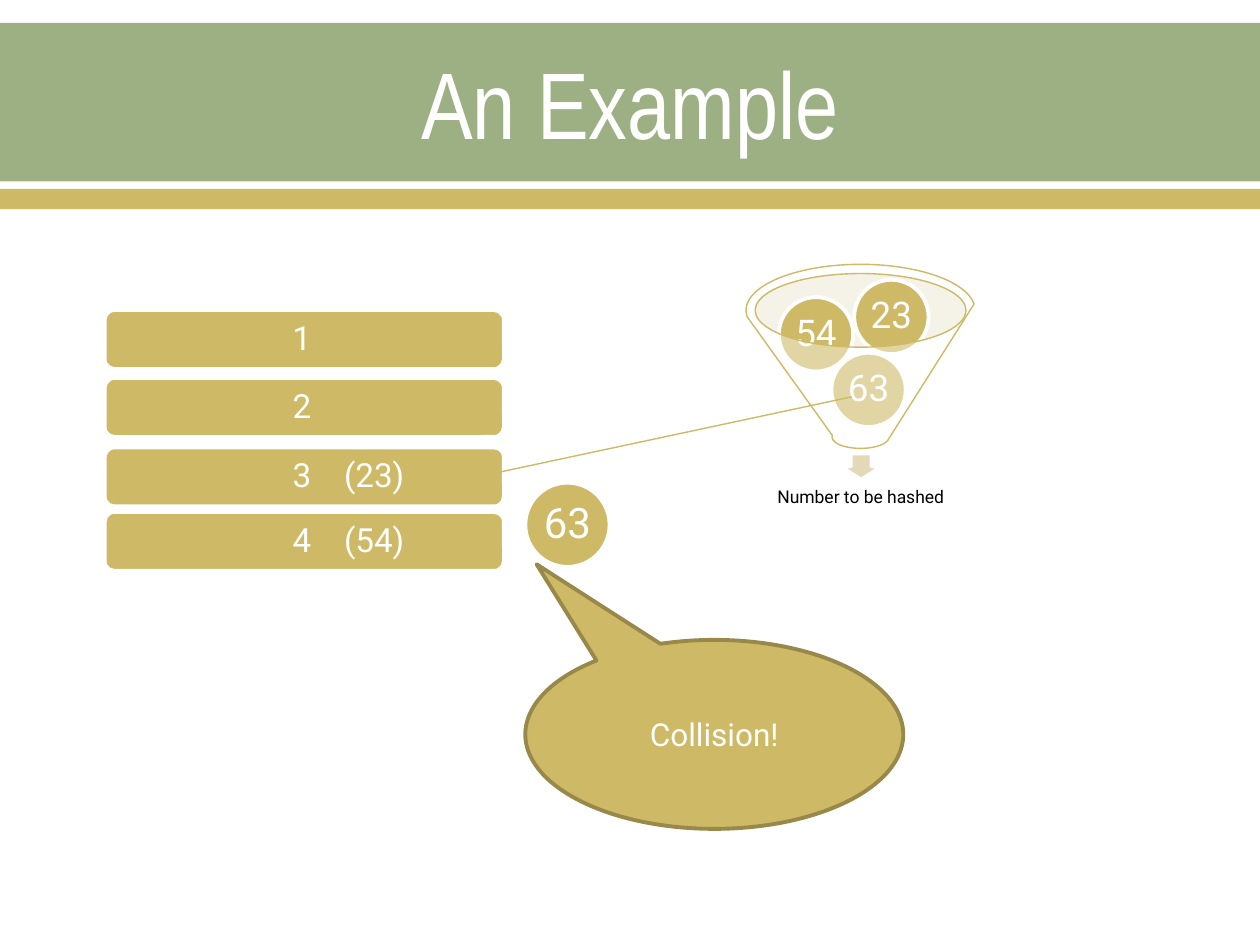
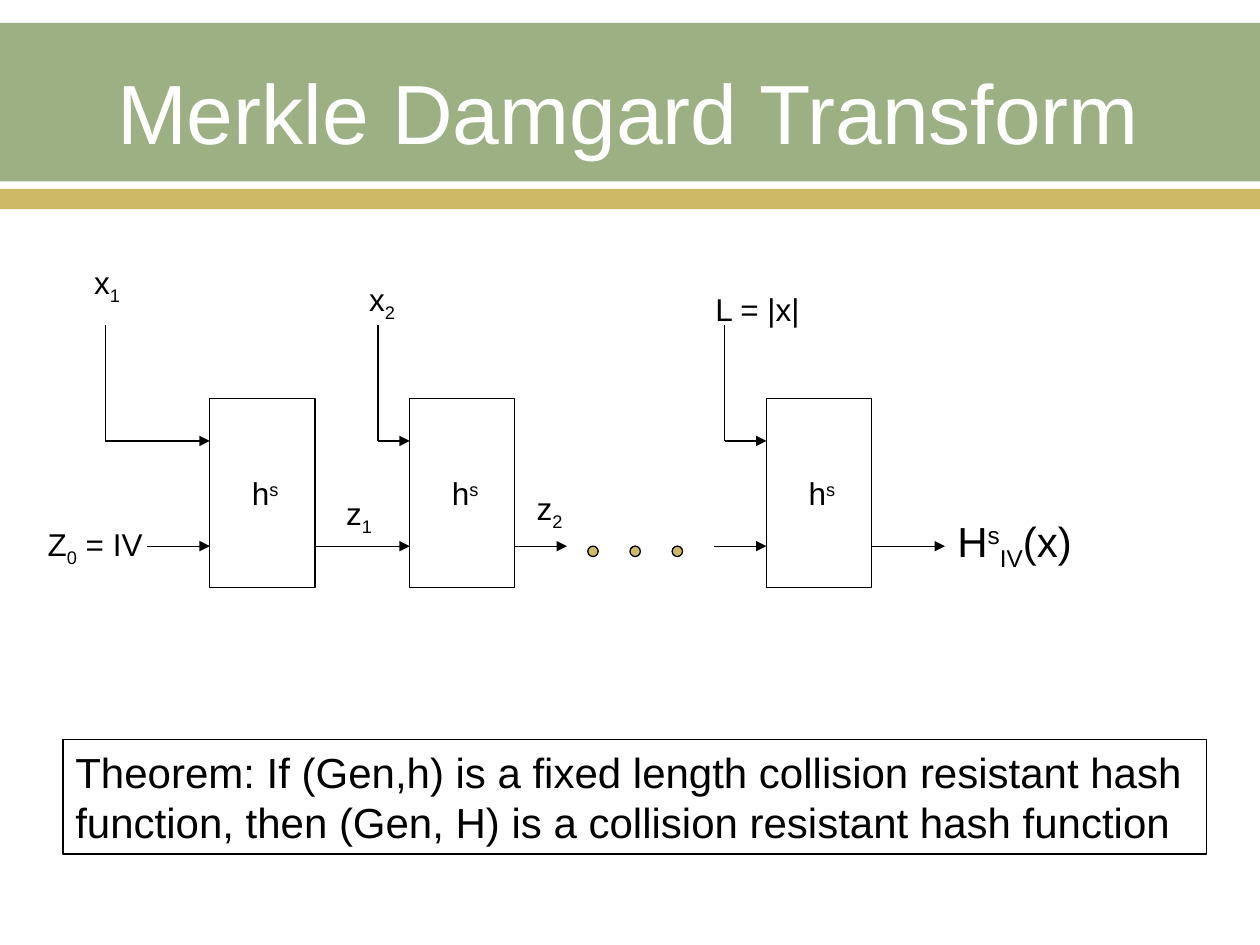
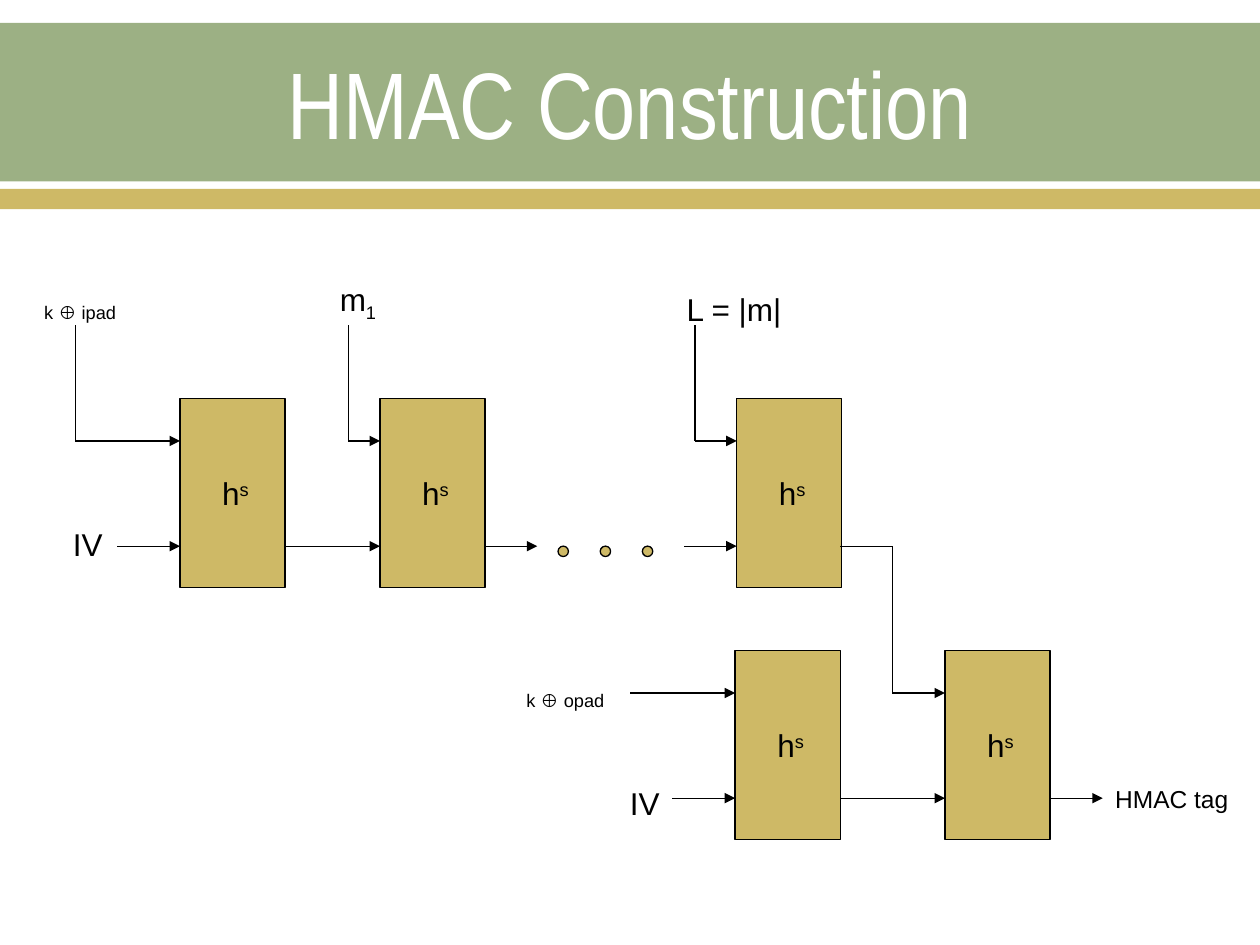
from dataclasses import dataclass, replace
from typing import Any, Optional

from lxml import etree
from pptx import Presentation
from pptx.dml.color import RGBColor
from pptx.enum.shapes import MSO_CONNECTOR, MSO_SHAPE
from pptx.enum.text import MSO_ANCHOR, MSO_AUTO_SIZE, PP_ALIGN
from pptx.oxml.ns import qn
from pptx.util import Cm, Pt

RECT, ROUND, OVAL = MSO_SHAPE.RECTANGLE, MSO_SHAPE.ROUNDED_RECTANGLE, MSO_SHAPE.OVAL
DOWN, FUNNEL, CALLOUT = MSO_SHAPE.DOWN_ARROW, MSO_SHAPE.FUNNEL, MSO_SHAPE.OVAL_CALLOUT
STRAIGHT = MSO_CONNECTOR.STRAIGHT
LEFT, CENTER = PP_ALIGN.LEFT, PP_ALIGN.CENTER
TOP, MIDDLE = MSO_ANCHOR.TOP, MSO_ANCHOR.MIDDLE
GROW = MSO_AUTO_SIZE.SHAPE_TO_FIT_TEXT

COLORS = {
    "green": "9CB084", "gold": "CEB966", "white": "FFFFFF", "black": "000000",
    "cream": "E8E0C6", "sand": "E3D9B8", "brown": "98894B",
}
SUB, SUPER = -25, 30
Runs = list[tuple[str, int]]
HASH: Runs = [("h", 0), ("s", SUPER)]

# Hash box: size, and the heights of its two inputs below its top edge
BOX_W, BOX_H, HIGH, LOW = 2.12, 3.81, 0.85, 2.97
CHAIN_TOP, LAST_TOP, DROP_TOP = 8.04, 13.12, 6.56


@dataclass(frozen=True)
class Box:
    """Place and size in centimetres."""
    left: float
    top: float
    width: float
    height: float


@dataclass(frozen=True)
class Style:
    """Look of a text."""
    size: float = 18
    font: str = "Arial"
    color: str = "black"
    align: Any = LEFT
    anchor: Any = TOP
    wrap: bool = True
    pad: tuple[float, float] = (0.25, 0.13)
    indent: float = 0
    space: Optional[float] = None
    tab: Optional[float] = None


@dataclass(frozen=True)
class Label:
    """A loose line of text in a diagram."""
    box: Box
    runs: Runs
    size: float = 18


@dataclass(frozen=True)
class Paint:
    """Fill and outline of a shape."""
    fill: Optional[str] = None
    line: Optional[str] = None
    width: float = 0.75
    alpha: Optional[int] = None


PLAIN = Style()
TITLE = Style(54, "Arial Narrow", "white", CENTER, MIDDLE)
HASHED = Style(anchor=MIDDLE, indent=0.6)
BALL = Style(21, "Roboto", "white", CENTER, MIDDLE, pad=(0.08, 0.08), space=0.9)
ROW = Style(19, "Roboto", "white", LEFT, MIDDLE, pad=(0.2, 0.2),
            indent=3.53, space=0.9, tab=1.04)
EDGED = Paint("gold", "white", 2.22)
INKED = Paint("gold", "black")
HOLLOW = Paint(None, "black")


def rgb(name: str) -> RGBColor:
    """Look up a colour by name."""
    return RGBColor.from_string(COLORS[name])


def assign(target: Any, values: dict[str, Any]) -> None:
    """Set each named value on the target."""
    for name, value in values.items():
        setattr(target, name, value)


def write(shape: Any, runs: Runs, style: Style) -> None:
    """Put one styled paragraph into a shape."""
    frame = shape.text_frame
    side, edge = style.pad
    assign(frame, {
        "word_wrap": style.wrap, "vertical_anchor": style.anchor,
        "margin_left": Cm(side + style.indent), "margin_right": Cm(side),
        "margin_top": Cm(edge), "margin_bottom": Cm(edge),
    })
    para = frame.paragraphs[0]
    assign(para, {"alignment": style.align, "line_spacing": style.space})
    if style.tab:
        stops = etree.SubElement(para._p.get_or_add_pPr(), qn("a:tabLst"))
        etree.SubElement(stops, qn("a:tab"), pos=str(Cm(style.tab)), algn="l")
    for text, base in runs:
        run = para.add_run()
        run.text = text
        assign(run.font, {"size": Pt(style.size), "name": style.font})
        run.font.color.rgb = rgb(style.color)
        if base:
            run._r.get_or_add_rPr().set("baseline", str(base * 1000))


def place(box: Box) -> list[int]:
    """Turn a box into lengths."""
    return [Cm(v) for v in (box.left, box.top, box.width, box.height)]


def draw(slide: Any, kind: Any, box: Box, paint: Paint,
         runs: Optional[Runs] = None, style: Style = PLAIN) -> Any:
    """Add a preset shape, with text if any is given."""
    shape = slide.shapes.add_shape(kind, *place(box))
    shape.shadow.inherit = False
    if paint.fill:
        shape.fill.solid()
        shape.fill.fore_color.rgb = rgb(paint.fill)
    else:
        shape.fill.background()
    if paint.alpha:
        tone = shape._element.spPr.find(qn("a:solidFill"))[0]
        etree.SubElement(tone, qn("a:alpha"), val=str(paint.alpha * 1000))
    if paint.line:
        shape.line.color.rgb = rgb(paint.line)
        shape.line.width = Pt(paint.width)
    else:
        shape.line.fill.background()
    if runs:
        write(shape, runs, style)
    return shape


def note(slide: Any, box: Box, runs: Runs, style: Style) -> None:
    """Add a text box."""
    area = slide.shapes.add_textbox(*place(box))
    write(area, runs, style)
    if not style.wrap:
        area.text_frame.auto_size = GROW


def name(slide: Any, label: Label) -> None:
    """Add a diagram label."""
    note(slide, label.box, label.runs, Style(label.size, wrap=False))


def link(slide: Any, start: tuple[float, float], end: tuple[float, float],
         arrow: bool = True, color: str = "black", width: float = 0.75) -> None:
    """Add a straight line, with an arrowhead at its end if asked."""
    line = slide.shapes.add_connector(STRAIGHT, *(Cm(v) for v in (*start, *end)))
    line.line.color.rgb = rgb(color)
    line.line.width = Pt(width)
    props = line._element.spPr
    if arrow:
        etree.SubElement(props.find(qn("a:ln")), qn("a:tailEnd"), type="triangle")
    etree.SubElement(props, qn("a:effectLst"))


def flow(slide: Any, left: float, right: float, y: float) -> None:
    """Add a level arrow."""
    link(slide, (left, y), (right, y))


def start(deck: Any) -> Any:
    """Add a blank slide with the two bands."""
    slide = deck.slides.add_slide(deck.slide_layouts[6])
    draw(slide, RECT, Box(0, 0.46, 25.4, 3.2), Paint("green"))
    draw(slide, RECT, Box(0, 3.81, 25.4, 0.41), Paint("gold"))
    return slide


def head(slide: Any, text: str) -> None:
    """Add a centred title."""
    note(slide, Box(1.27, 0.51, 22.86, 3.1), [(text, 0)], TITLE)


def block(slide: Any, left: float, top: float, paint: Paint) -> None:
    """Add one hash box."""
    draw(slide, RECT, Box(left, top, BOX_W, BOX_H), paint, HASH, HASHED)


def chain(slide: Any, shift: float, paint: Paint) -> None:
    """Add three chained hash boxes with their inputs and dots."""
    high, low = CHAIN_TOP + HIGH, CHAIN_TOP + LOW
    for left, drop in ((4.23, 2.12), (8.26, 7.62), (15.45, 14.61)):
        block(slide, left + shift, CHAIN_TOP, paint)
        link(slide, (drop + shift, DROP_TOP), (drop + shift, high), arrow=False)
        flow(slide, drop + shift, left + shift, high)
    for left, right in ((2.96, 4.23), (6.35, 8.26), (10.38, 11.43), (14.39, 15.45)):
        flow(slide, left + shift, right + shift, low)
    for i in range(3):
        draw(slide, OVAL, Box(11.85 + i * 0.85 + shift, low, 0.21, 0.21), INKED)


def example(deck: Any) -> None:
    """Build the slide on a hash collision."""
    slide = start(deck)
    head(slide, "An Example")
    rows = ((6.25, "1"), (7.62, "2"), (9.02, "3\t(23)"), (10.32, "4\t(54)"))
    for top, text in rows:
        draw(slide, ROUND, Box(2.11, top, 8.05, 1.19), EDGED, [(text, 0)], ROW)
    draw(slide, OVAL, Box(15.21, 5.51, 4.27, 1.47), Paint("cream", alpha=40))
    draw(slide, DOWN, Box(16.94, 9.14, 0.84, 0.53), replace(EDGED, fill="sand"))
    note(slide, Box(15.37, 9.55, 3.96, 0.99), [("Number to be hashed", 0)],
         replace(BALL, size=10, color="black"))
    for left, top, text in ((16.76, 7.11, "63"), (15.7, 5.99, "54"), (17.22, 5.64, "23")):
        draw(slide, OVAL, Box(left, top, 1.5, 1.5), EDGED, [(text, 0)], BALL)
    draw(slide, FUNNEL, Box(15.04, 5.33, 4.62, 3.71), Paint("white", "gold", 0.79, 40))
    link(slide, (17.17, 8), (10.01, 9.53), False, "gold", 0.79)
    draw(slide, OVAL, Box(10.59, 9.73, 1.7, 1.7), EDGED, [("63", 0)],
         replace(BALL, size=24))
    bubble = draw(slide, CALLOUT, Box(10.59, 12.9, 7.62, 3.81),
                  Paint("gold", "brown", 2.22), [("Collision!", 0)],
                  Style(18, "Roboto", "white", CENTER, MIDDLE))
    bubble.adjustments[0], bubble.adjustments[1] = -0.47, -0.9


def merkle(deck: Any) -> None:
    """Build the slide on the chained transform."""
    slide = start(deck)
    draw(slide, RECT, Box(1.27, 14.91, 23.06, 2.31), HOLLOW,
         [("Theorem: If (Gen,h) is a fixed length collision resistant hash function, "
           "then (Gen, H) is a collision resistant hash function", 0)], Style(24))
    chain(slide, 0, HOLLOW)
    flow(slide, 17.57, 19.05, CHAIN_TOP + LOW)
    for left, top, text, index in ((1.65, 5.18, "x", "1"), (7.19, 5.51, "x", "2"),
                                   (6.73, 9.83, "z", "1"), (10.57, 9.73, "z", "2")):
        name(slide, Label(Box(left, top, 1.07, 1.02), [(text, 0), (index, SUB)]))
    for label in (
        Label(Box(0.71, 10.46, 2.46, 1.02), [("Z", 0), ("0", SUB), (" = IV", 0)]),
        Label(Box(14.17, 5.72, 2.24, 1.02), [("L = |x|", 0)]),
        Label(Box(19.05, 10.26, 2.92, 1.27),
              [("H", 0), ("s", SUPER), ("IV", SUB), ("(x)", 0)], 24),
    ):
        name(slide, label)
    note(slide, Box(2.11, 1.09, 21.23, 2.29), [("Merkle Damgard Transform", 0)],
         Style(48, color="white", wrap=False))


def hmac(deck: Any) -> None:
    """Build the slide on the keyed construction."""
    slide = start(deck)
    head(slide, "HMAC Construction")
    chain(slide, -0.6, INKED)
    for left in (14.82, 19.05):
        block(slide, left, LAST_TOP, INKED)
    high, low, bend = LAST_TOP + HIGH, LAST_TOP + LOW, 17.99
    out = CHAIN_TOP + LOW
    link(slide, (16.94, out), (bend, out), arrow=False)
    link(slide, (bend, out), (bend, high), arrow=False)
    for left, right, y in ((bend, 19.05, high), (12.7, 14.82, high),
                           (13.55, 14.82, low), (16.94, 19.05, low),
                           (21.17, 22.23, low)):
        flow(slide, left, right, y)
    for label in (
        Label(Box(0.64, 5.51, 2.11, 0.76), [("k ⊕ ipad", SUB)]),
        Label(Box(10.36, 13.33, 2.34, 0.76), [("k ⊕ opad", SUB)]),
        Label(Box(6.6, 5.51, 1.27, 1.02), [("m", 0), ("1", SUB)]),
        Label(Box(13.59, 5.72, 2.44, 1.02), [("L = |m|", 0)]),
        Label(Box(1.22, 10.46, 1.12, 1.02), [("IV", 0)]),
        Label(Box(12.45, 15.67, 1.12, 1.02), [("IV", 0)]),
        Label(Box(22.23, 15.67, 2.79, 0.84), [("HMAC tag", 0)], 14),
    ):
        name(slide, label)


def main() -> None:
    """Build and save the deck."""
    deck = Presentation()
    assign(deck, {"slide_width": Cm(25.4), "slide_height": Cm(19.05)})
    for build in (example, merkle, hmac):
        build(deck)
    deck.save("out.pptx")


main()
